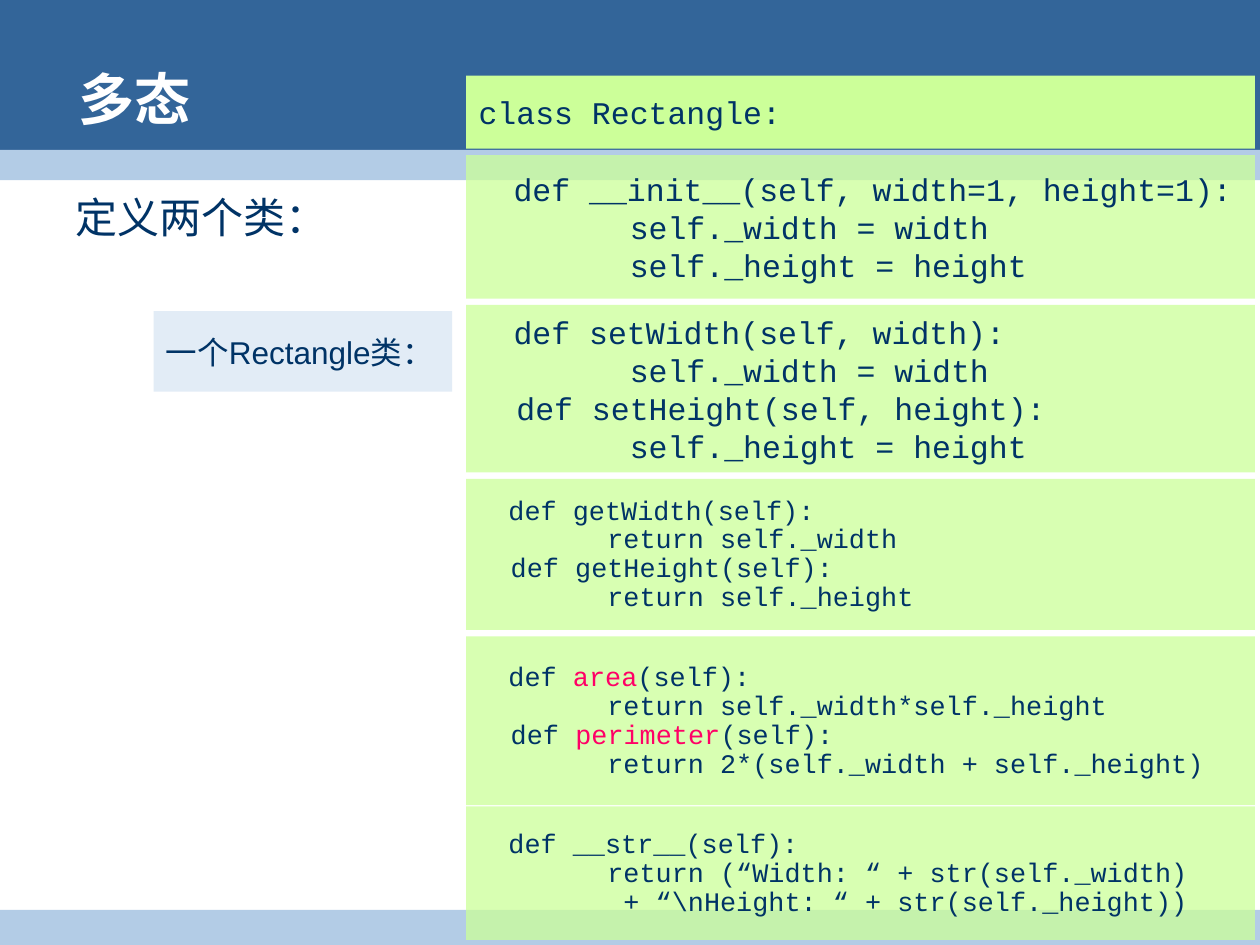
from lxml.etree import SubElement
from pptx import Presentation
from pptx.dml.color import RGBColor
from pptx.enum.shapes import MSO_SHAPE
from pptx.enum.text import MSO_ANCHOR, PP_ALIGN
from pptx.oxml.ns import qn
from pptx.util import Pt

HEADER_BLUE = RGBColor(0x33, 0x65, 0x99)
STRIPE_BLUE = RGBColor(0xB3, 0xCC, 0xE6)
LABEL_BLUE = RGBColor(0xE2, 0xEC, 0xF6)
CODE_GREEN = RGBColor(0xCC, 0xFF, 0x99)
NAVY = RGBColor(0x00, 0x33, 0x66)
PINK = RGBColor(0xFF, 0x00, 0x66)
WHITE = RGBColor(0xFF, 0xFF, 0xFF)

CODE_FONT = "Courier New"
CODE_LEFT, CODE_WIDTH = 266.4, 450.7
INDENT = ("    ", {"font": "Arial"})
LARGE = {"size": 18, "spacing": 21.75}
SMALL = {"size": 15.3, "spacing": 16.55}

METHOD_BLOCKS = [
    (88.6, 82, LARGE, [
        [INDENT, "def __init__(self, width=1, height=1):"],
        ["        self._width = width"],
        ["        self._height = height"],
    ]),
    (174.2, 95.8, LARGE, [
        [INDENT, "def setWidth(self, width):"],
        ["        self._width = width"],
        ["  def setHeight(self, height):"],
        ["        self._height = height"],
    ]),
    (273.6, 86.4, SMALL, [
        [INDENT, "def getWidth(self):"],
        ["        return self._width"],
        ["  def getHeight(self):"],
        ["        return self._height"],
    ]),
    (363.6, 96.5, SMALL, [
        [INDENT, "def ", ("area", {"color": PINK}), "(self):"],
        ["        return self._width*self._height"],
        ["  def ", ("perimeter", {"color": PINK}), "(self):"],
        ["        return 2*(self._width + self._height)"],
    ]),
    (460.8, 76.3, SMALL, [
        [INDENT, "def __str__(self):"],
        ["        return (“Width: “ + str(self._width)"],
        ["         + “\\nHeight: “ + str(self._height))"],
    ]),
]


def write_text(frame, lines, *, size, font="Arial", color=NAVY, bold=False,
               spacing=None, anchor=MSO_ANCHOR.MIDDLE, left_margin=7.2):
    frame.word_wrap = True
    frame.vertical_anchor = anchor
    frame.margin_left = Pt(left_margin)
    for index, line in enumerate(lines):
        paragraph = frame.add_paragraph() if index else frame.paragraphs[0]
        paragraph.alignment = PP_ALIGN.LEFT
        if spacing:
            paragraph.line_spacing = Pt(spacing)
        for part in line:
            words, changes = (part, {}) if isinstance(part, str) else part
            run = paragraph.add_run()
            run.text = words
            run.font.size = Pt(size)
            run.font.bold = bold
            run.font.name = changes.get("font", font)
            run.font.color.rgb = changes.get("color", color)


def add_panel(slide, left, top, width, height, color, opacity=100):
    panel = slide.shapes.add_shape(
        MSO_SHAPE.RECTANGLE, Pt(left), Pt(top), Pt(width), Pt(height))
    panel.shadow.inherit = False
    panel.fill.solid()
    panel.fill.fore_color.rgb = color
    panel.line.fill.background()
    if opacity < 100:
        rgb = panel.element.spPr.find(qn("a:solidFill")).find(qn("a:srgbClr"))
        SubElement(rgb, qn("a:alpha")).set("val", str(opacity * 1000))
    return panel


def add_bands(slide):
    add_panel(slide, 0, 0, 720, 94.3, HEADER_BLUE)
    add_panel(slide, 0, 85.7, 720, 17.3, STRIPE_BLUE)
    add_panel(slide, 0, 520, 720, 20, STRIPE_BLUE)


def place_title(slide, words):
    title = slide.shapes.title
    title.left, title.top, title.width, title.height = (
        Pt(28.8), Pt(35.3), Pt(652.3), Pt(41.8))
    title.element.getparent().append(title.element)
    write_text(title.text_frame, [[words]], size=32, color=WHITE, bold=True,
               left_margin=16)


def add_intro(slide, words):
    intro = slide.shapes.add_textbox(Pt(36), Pt(105.8), Pt(648), Pt(376.6))
    write_text(intro.text_frame, [[words]], size=24, spacing=29,
               anchor=MSO_ANCHOR.TOP)


def add_code(slide, top, height, style, lines, opacity=75):
    panel = add_panel(slide, CODE_LEFT, top, CODE_WIDTH, height, CODE_GREEN,
                      opacity)
    write_text(panel.text_frame, lines, font=CODE_FONT, **style)


def main():
    presentation = Presentation()
    presentation.slide_width, presentation.slide_height = Pt(720), Pt(540)
    slide = presentation.slides.add_slide(presentation.slide_layouts[5])
    add_bands(slide)
    place_title(slide, "多态")
    add_intro(slide, "定义两个类：")
    add_code(slide, 43.2, 41.8, LARGE, [["class Rectangle:"]], opacity=100)
    for top, height, style, lines in METHOD_BLOCKS:
        add_code(slide, top, height, style, lines)
    label = add_panel(slide, 87.8, 177.8, 170.6, 46, LABEL_BLUE)
    write_text(label.text_frame, [["一个Rectangle类："]], **LARGE)
    presentation.save("out.pptx")


if __name__ == "__main__":
    main()
